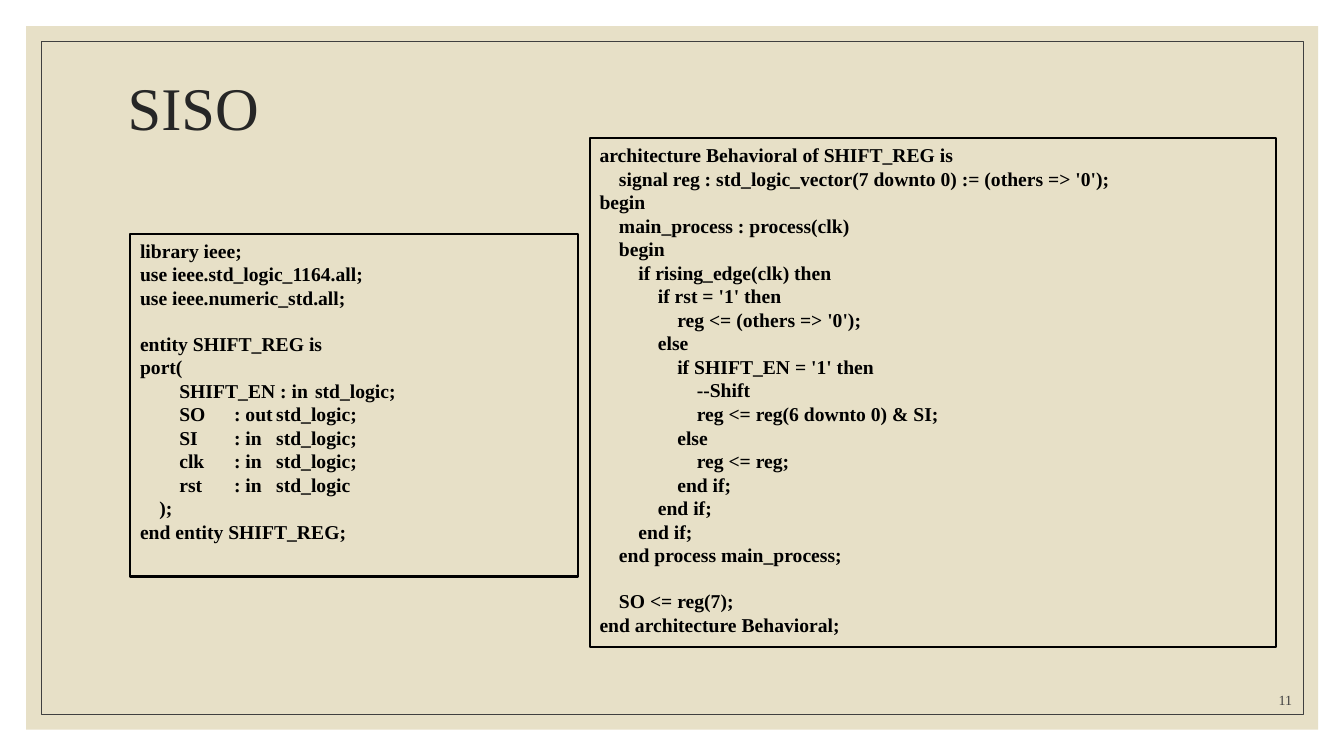
from lxml import etree
from pptx import Presentation
from pptx.dml.color import RGBColor
from pptx.enum.shapes import MSO_SHAPE
from pptx.enum.text import MSO_ANCHOR, PP_ALIGN
from pptx.oxml.ns import qn
from pptx.util import Cm, Pt

RECTANGLE = MSO_SHAPE.RECTANGLE
TOP, MIDDLE, BOTTOM = MSO_ANCHOR.TOP, MSO_ANCHOR.MIDDLE, MSO_ANCHOR.BOTTOM
LEFT, RIGHT = PP_ALIGN.LEFT, PP_ALIGN.RIGHT

TITLE = [(0, "SISO")]
PAGE_NUMBER = [(0, "11")]
# Each line is (indent level, text); an empty text opens a gap.
ENTITY = [
    (0, "library ieee;"),
    (0, "use ieee.std_logic_1164.all;"),
    (0, "use ieee.numeric_std.all;"),
    (0, ""),
    (0, "entity SHIFT_REG is"),
    (0, "port("),
    (0, "\tSHIFT_EN : in\tstd_logic;"),
    (0, "\tSO\t: out\tstd_logic;"),
    (0, "\tSI\t: in\tstd_logic;"),
    (0, "\tclk\t: in\tstd_logic;"),
    (0, "\trst\t: in\tstd_logic"),
    (1, ");"),
    (0, "end entity SHIFT_REG;"),
]
ARCHITECTURE = [
    (0, "architecture Behavioral of SHIFT_REG is"),
    (1, "signal reg : std_logic_vector(7 downto 0) := (others => '0');"),
    (0, "begin"),
    (1, "main_process : process(clk)"),
    (1, "begin"),
    (2, "if rising_edge(clk) then"),
    (3, "if rst = '1' then"),
    (4, "reg <= (others => '0');"),
    (3, "else"),
    (4, "if SHIFT_EN = '1' then"),
    (5, "--Shift"),
    (5, "reg <= reg(6 downto 0) & SI;"),
    (4, "else"),
    (5, "reg <= reg;"),
    (4, "end if;"),
    (3, "end if;"),
    (2, "end if;"),
    (1, "end process main_process;"),
    (0, ""),
    (1, "SO <= reg(7);"),
    (0, "end architecture Behavioral;"),
]

FONT = "Times New Roman"
INDENT = 0.49
TAB_STOPS = (0.99, 2.37, 3.43, 4.41)
BLANK_LINE = 16


def color(hex_code):
    """Turn a hex string into a colour."""
    return RGBColor.from_string(hex_code)


def add_box(slide, bounds, fill=None, line=None, width=0):
    """Add a rectangle with an optional fill and outline."""
    shape = slide.shapes.add_shape(RECTANGLE, *map(Cm, bounds))
    shape.shadow.inherit = False
    if fill:
        shape.fill.solid()
        shape.fill.fore_color.rgb = color(fill)
    else:
        shape.fill.background()
    if line:
        shape.line.color.rgb = color(line)
        shape.line.width = Pt(width)
    else:
        shape.line.fill.background()
    return shape


def set_tab_stops(properties):
    """Give a paragraph the tab stops of the port list."""
    tab_list = etree.SubElement(properties, qn("a:tabLst"))
    for stop in TAB_STOPS:
        etree.SubElement(tab_list, qn("a:tab"), pos=str(Cm(stop)), algn="l")


def write_lines(shape, lines, size, hex_code, bold=False, anchor=TOP,
                align=LEFT, spacing=1.0):
    """Write indented lines into a shape, turning empty ones into gaps."""
    frame = shape.text_frame
    frame.word_wrap = True
    frame.vertical_anchor = anchor
    paragraph, gap = frame.paragraphs[0], 0
    for index, (level, text) in enumerate(lines):
        if not text:
            gap = BLANK_LINE
            continue
        if index:
            paragraph = frame.add_paragraph()
        paragraph.alignment = align
        paragraph.line_spacing = spacing
        paragraph.space_before = Pt(gap)
        gap = 0
        properties = paragraph._p.get_or_add_pPr()
        properties.set("marL", str(Cm(INDENT * level)))
        if "\t" in text:
            set_tab_stops(properties)
        run = paragraph.add_run()
        run.text = text
        run.font.name = FONT
        run.font.size = Pt(size)
        run.font.bold = bold
        run.font.color.rgb = color(hex_code)


def main():
    """Build the slide and save it."""
    presentation = Presentation()
    presentation.slide_width, presentation.slide_height = Cm(33.87), Cm(19.05)
    slide = presentation.slides.add_slide(presentation.slide_layouts[6])

    add_box(slide, (0.66, 0.66, 32.56, 17.73), fill="E7E0C7")
    add_box(slide, (1.04, 1.04, 31.8, 16.97), line="404040", width=0.5)

    title = slide.shapes.add_textbox(Cm(2.97), Cm(1.78), Cm(27.94), Cm(2.03))
    write_lines(title, TITLE, 43.2, "262626", anchor=MIDDLE, spacing=0.9)
    number = slide.shapes.add_textbox(Cm(28.75), Cm(17.27), Cm(4.06), Cm(0.71))
    write_lines(number, PAGE_NUMBER, 10, "404040", anchor=BOTTOM, align=RIGHT)

    for lines, bounds in (
        (ENTITY, (3.28, 5.89, 11.28, 8.64)),
        (ARCHITECTURE, (14.86, 3.48, 17.3, 12.83)),
    ):
        box = add_box(slide, bounds, line="000000", width=1.5)
        write_lines(box, lines, 14, "000000", bold=True)

    presentation.save("out.pptx")


if __name__ == "__main__":
    main()
